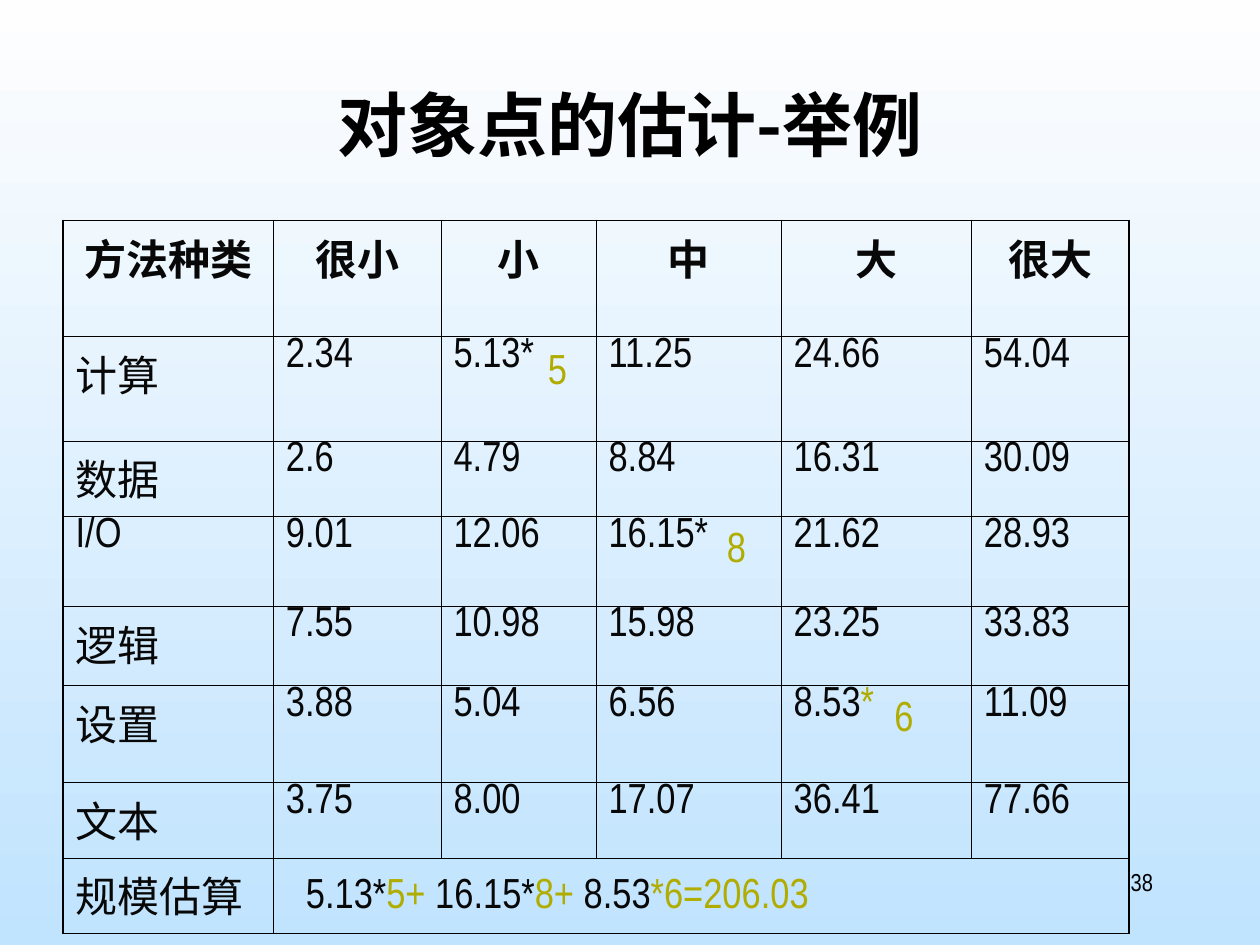
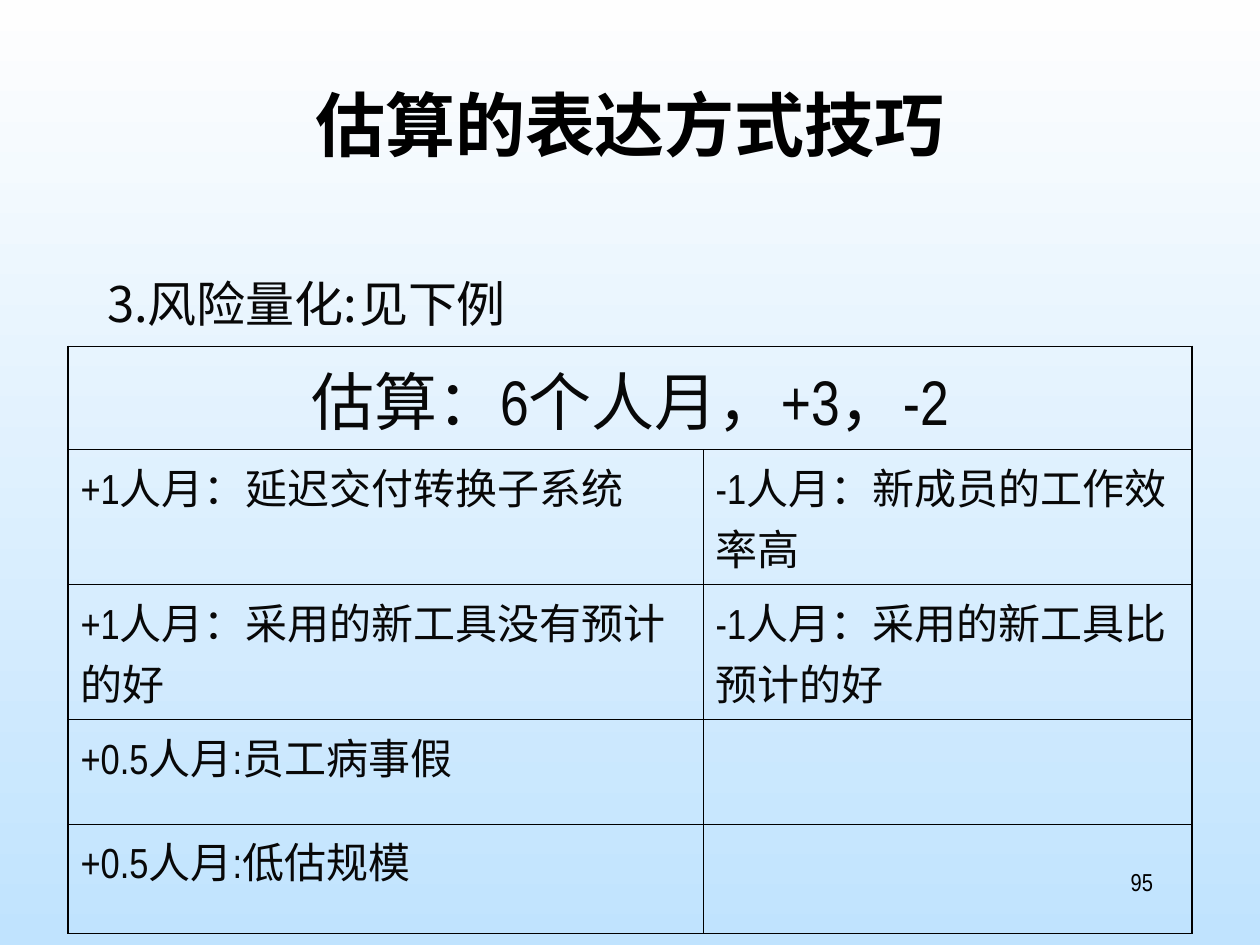
from dataclasses import dataclass

from lxml import etree
from pptx import Presentation
from pptx.dml.color import RGBColor
from pptx.enum.text import MSO_ANCHOR, MSO_AUTO_SIZE, PP_ALIGN
from pptx.oxml.ns import qn
from pptx.util import Inches, Pt

CENTER, RIGHT, LEFT = PP_ALIGN.CENTER, PP_ALIGN.RIGHT, PP_ALIGN.LEFT
TOP, NO_FIT = MSO_ANCHOR.TOP, MSO_AUTO_SIZE.NONE
TITLE_ONLY, TITLE_AND_BODY = 5, 1


@dataclass(frozen=True)
class Theme:
    black: str = "000000"
    ink: str = "080808"
    accent: str = "B0AC00"
    sky_top: str = "FEFEFE"
    sky_bottom: str = "C0E3FE"
    latin: str = "Arial Narrow"
    chinese: str = "Noto Sans CJK SC"
    title: int = 40
    banner: int = 36
    body: int = 28
    cell: int = 24
    number: int = 14
    outer_line: float = 1.08
    inner_line: float = 0.45


theme = Theme()


def write(frame, runs, size=theme.cell, font=theme.latin, bold=False,
          align=LEFT, before=6, spacing=None):
    """Fill a text frame with one paragraph of (text, colour) runs."""
    frame.word_wrap = True
    paragraph = frame.paragraphs[0]
    paragraph.alignment = align
    paragraph.space_before = Pt(before)
    paragraph.line_spacing = spacing
    for text, color in runs:
        run = paragraph.add_run()
        run.text = text
        run.font.size, run.font.bold, run.font.name = Pt(size), bold, font
        run.font.color.rgb = RGBColor.from_string(color)
        east_asian = etree.SubElement(run.font._element, qn("a:ea"))
        east_asian.set("typeface", theme.chinese)
    return paragraph


def add_grid(slide, left, top, widths, heights, merged_row, merged_from):
    """Add an unfilled table with a heavier frame and one merged row."""
    rows, columns = len(heights), len(widths)
    table = slide.shapes.add_table(
        rows, columns, Inches(left), Inches(top),
        Inches(sum(widths)), Inches(sum(heights))).table
    table.first_row = table.horz_banding = False
    for column, width in zip(table.columns, widths):
        column.width = Inches(width)
    for row, height in zip(table.rows, heights):
        row.height = Inches(height)
    table.cell(merged_row, merged_from).merge(table.cell(merged_row, columns - 1))
    for index, cell in enumerate(table.iter_cells()):
        if cell.is_spanned:
            continue
        row, column = divmod(index, columns)
        last = column + (cell.span_width if cell.is_merge_origin else 1) == columns
        cell.fill.background()
        edges = {"a:lnL": column == 0, "a:lnR": last,
                 "a:lnT": row == 0, "a:lnB": row == rows - 1}
        for position, (tag, outer) in enumerate(edges.items()):
            line = etree.Element(qn(tag))
            line.set("w", str(Pt(theme.outer_line if outer else theme.inner_line)))
            fill = etree.SubElement(line, qn("a:solidFill"))
            etree.SubElement(fill, qn("a:srgbClr")).set("val", theme.black)
            cell._tc.get_or_add_tcPr().insert(position, line)
    return table


presentation = Presentation()
presentation.slide_width, presentation.slide_height = Inches(10), Inches(7.5)

background = presentation.slide_master.background.fill
background.gradient()
background.gradient_angle = 270
for stop, color in zip(background.gradient_stops, (theme.sky_top, theme.sky_bottom)):
    stop.color.rgb = RGBColor.from_string(color)

# Titles and page numbers
slides = []
for layout, title, number in (
    (TITLE_ONLY, "对象点的估计-举例", "38"),
    (TITLE_AND_BODY, "估算的表达方式技巧", "95"),
):
    slide = presentation.slides.add_slide(presentation.slide_layouts[layout])
    slides.append(slide)
    shape = slide.shapes.title
    shape.left, shape.top = Inches(0.75), Inches(0.67)
    shape.width, shape.height = Inches(8.5), Inches(1.25)
    shape.text_frame.vertical_anchor = TOP
    shape.text_frame.auto_size = NO_FIT
    write(shape.text_frame, [(title, theme.black)], theme.title, theme.chinese,
          bold=True, align=CENTER, before=0, spacing=0.9)
    box = slide.shapes.add_textbox(Inches(7.17), Inches(6.83), Inches(2.08), Inches(0.5))
    write(box.text_frame, [(number, theme.black)], theme.number, align=RIGHT, before=0)

example, risks = slides

# Object point example
methods = [
    ["方法种类", "很小", "小", "中", "大", "很大"],
    ["计算", "2.34", "5.13*", "11.25", "24.66", "54.04"],
    ["数据", "2.6", "4.79", "8.84", "16.31", "30.09"],
    ["I/O", "9.01", "12.06", "16.15*", "21.62", "28.93"],
    ["逻辑", "7.55", "10.98", "15.98", "23.25", "33.83"],
    ["设置", "3.88", "5.04", "6.56", "8.53*", "11.09"],
    ["文本", "3.75", "8.00", "17.07", "36.41", "77.66"],
    ["规模估算"],
]
table = add_grid(example, 0.5, 1.75, [1.67, 1.33, 1.23, 1.47, 1.51, 1.25],
                 [0.92, 0.83, 0.6, 0.71, 0.63, 0.77, 0.6, 0.6], 7, 1)
for row, values in enumerate(methods):
    for column, value in enumerate(values):
        runs = [(value, theme.ink)]
        if value == "8.53*":
            runs = [("8.53", theme.ink), ("*", theme.accent)]
        write(table.cell(row, column).text_frame, runs, bold=row == 0,
              align=CENTER if row == 0 else LEFT,
              spacing=0.78 if value.isascii() else None)

formula = [("5.13*", theme.ink), ("5+ ", theme.accent), ("16.15*", theme.ink),
           ("8+ ", theme.accent), ("8.53", theme.ink), ("*6=206.03", theme.accent)]
for left, top, width, runs in (
    (4.25, 2.67, 0.33, [("5", theme.accent)]),
    (5.67, 4.08, 0.33, [("8", theme.accent)]),
    (7, 5.42, 0.33, [("6", theme.accent)]),
    (2.33, 6.83, 4.83, formula),
):
    box = example.shapes.add_textbox(Inches(left), Inches(top), Inches(width), Inches(0.5))
    write(box.text_frame, runs)

# Quantified risks
body = risks.placeholders[1]
body.left, body.top = Inches(0.75), Inches(2.17)
body.width, body.height = Inches(8.5), Inches(0.83)
body.text_frame.auto_size = NO_FIT
paragraph = write(body.text_frame, [("3.风险量化:\t见下例", theme.ink)],
                  theme.body, theme.chinese, before=7, spacing=0.9)
properties = paragraph._p.get_or_add_pPr()
properties.set("marL", "0")
properties.set("indent", "0")
etree.SubElement(properties, qn("a:buNone"))
tab = etree.SubElement(etree.SubElement(properties, qn("a:tabLst")), qn("a:tab"))
tab.set("pos", str(Inches(2.8)))
tab.set("algn", "l")

estimates = [
    ["估算：6个人月，+3，-2"],
    ["+1人月：延迟交付转换子系统", "-1人月：新成员的工作效率高"],
    ["+1人月：采用的新工具没有预计的好", "-1人月：采用的新工具比预计的好"],
    ["+0.5人月:员工病事假"],
    ["+0.5人月:低估规模"],
]
table = add_grid(risks, 0.54, 2.75, [5.04, 3.88], [0.82, 1.07, 1.07, 0.83, 0.87], 0, 0)
for row, values in enumerate(estimates):
    for column, value in enumerate(values):
        banner = row == 0
        write(table.cell(row, column).text_frame, [(value, theme.ink)],
              theme.banner if banner else theme.cell,
              align=CENTER if banner else LEFT, before=9 if banner else 6)

presentation.save("out.pptx")
